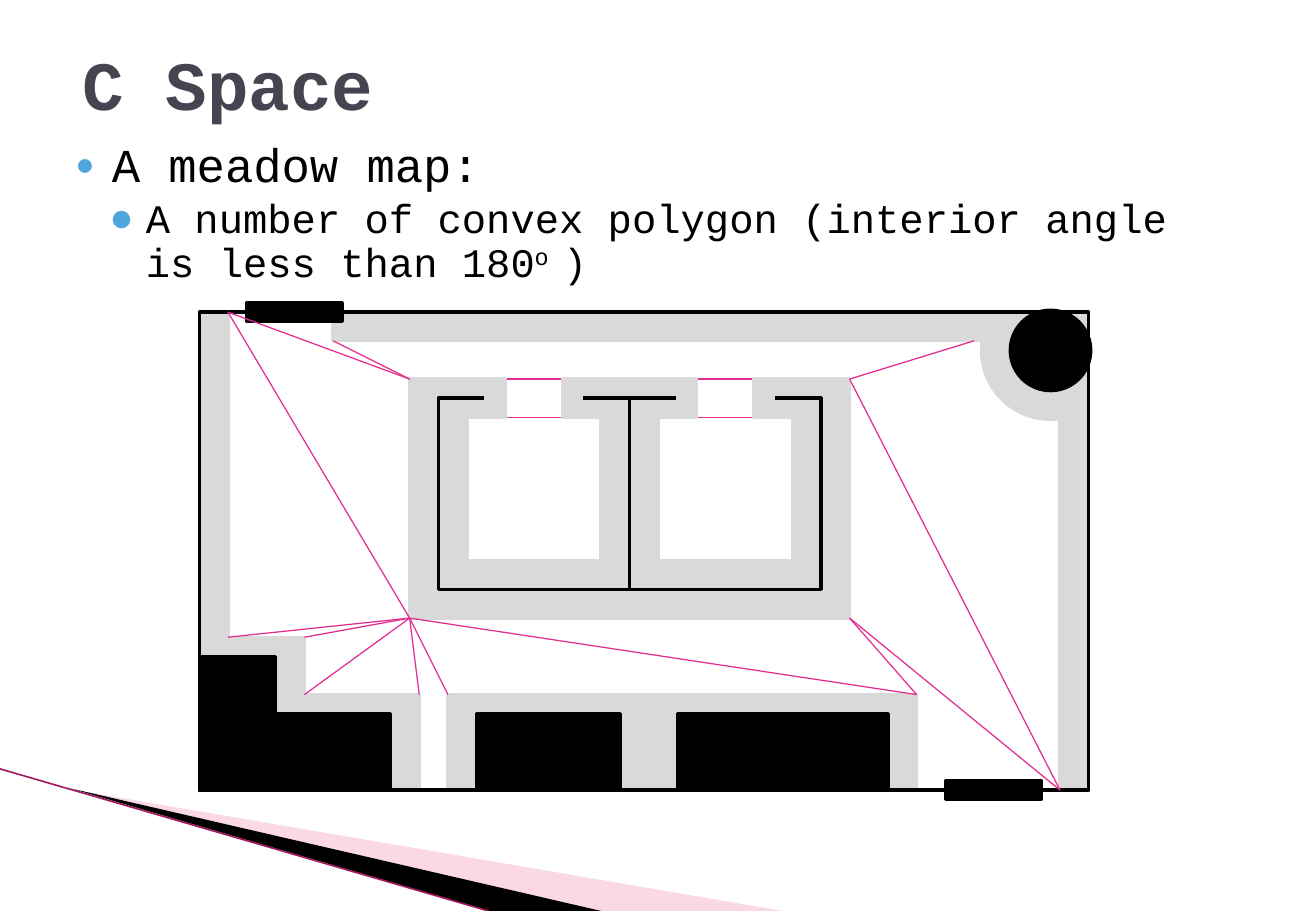
from pptx import Presentation
from pptx.dml.color import RGBColor
from pptx.enum.shapes import MSO_CONNECTOR, MSO_SHAPE
from pptx.enum.text import MSO_ANCHOR, MSO_AUTO_SIZE, PP_ALIGN
from pptx.oxml.ns import qn
from pptx.util import Inches, Pt
from lxml.etree import SubElement

COLORS = {
    "title": "454551", "text": "000000", "bullet": "4EA6DC",
    "obstacle": "000000", "clearance": "D9D9D9", "free": "FFFFFF",
    "path": "E32D91", "wedge": "F39EC0", "edge": "A3195F",
}
FONT = "Courier New"
GRID = 7.32 / 46.5  # one cell of the floor plan, in inches


def rgb(name):
    return RGBColor.from_string(COLORS[name])


def add_line(slide, start, end, color, width):
    line = slide.shapes.add_connector(
        MSO_CONNECTOR.STRAIGHT, *[Inches(v) for v in (*start, *end)])
    line.line.color.rgb = rgb(color)
    line.line.width = Pt(width)
    SubElement(line._element.spPr, qn("a:effectLst"))


def add_wedge(slide, points, color, opacity=100):
    builder = slide.shapes.build_freeform(
        Inches(points[0][0]), Inches(points[0][1]))
    builder.add_line_segments([(Inches(x), Inches(y)) for x, y in points[1:]])
    wedge = builder.convert_to_shape()
    wedge.shadow.inherit = False
    wedge.fill.solid()
    wedge.fill.fore_color.rgb = rgb(color)
    wedge.line.fill.background()
    if opacity < 100:
        srgb = wedge._element.spPr.find(".//" + qn("a:srgbClr"))
        SubElement(srgb, qn("a:alpha")).set("val", str(opacity * 1000))


def draw_corner(slide):
    """Wedges in the bottom left corner."""
    add_wedge(slide, [(0.59, 6.5), (6.44, 7.5), (4.94, 7.5)], "wedge", 40)
    add_wedge(slide, [(0.58, 6.49), (4.95, 7.5), (4.03, 7.5)], "obstacle")
    add_line(slide, (0, 6.33), (4.02, 7.5), "edge", 0.95)


def place(placeholder, box):
    left, top, width, height = [Inches(v) for v in box]
    placeholder.left, placeholder.top = left, top
    placeholder.width, placeholder.height = width, height
    placeholder.text_frame.auto_size = MSO_AUTO_SIZE.NONE
    placeholder.text_frame.word_wrap = True


def fill_title(title, box, text):
    place(title, box)
    title.text_frame.vertical_anchor = MSO_ANCHOR.MIDDLE
    heading = title.text_frame.paragraphs[0]
    heading.text = text
    heading.alignment = PP_ALIGN.LEFT
    heading.font.name, heading.font.size = FONT, Pt(41)
    heading.font.bold = True
    heading.font.color.rgb = rgb("title")


def format_point(point, level, size, space, margin, bullet_size):
    point.level = level
    point.line_spacing = 0.9
    point.space_before = Pt(space)
    point.font.name, point.font.size = FONT, Pt(size)
    point.font.color.rgb = rgb("text")
    props = point._p.get_or_add_pPr()
    props.set("marL", str(Inches(margin)))
    props.set("indent", str(Inches(-0.3)))
    # Bullet elements go before the default run properties
    default_run = props.find(qn("a:defRPr"))
    color = SubElement(props, qn("a:buClr"))
    SubElement(color, qn("a:srgbClr")).set("val", COLORS["bullet"])
    scale = SubElement(props, qn("a:buSzPct"))
    scale.set("val", str(bullet_size * 1000))
    mark = SubElement(props, qn("a:buChar"))
    mark.set("char", "●")
    for part in (color, scale, mark):
        default_run.addprevious(part)


def fill_body(body, box):
    place(body, box)
    meadow = body.text_frame.paragraphs[0]
    meadow.text = "A meadow map:"
    format_point(meadow, 0, 28, 4, 0.3, 68)

    polygons = body.text_frame.add_paragraph()
    polygons.add_run().text = (
        "A number of convex polygon (interior angle is less than 180")
    degree = polygons.add_run()
    degree.text = "o "
    degree._r.get_or_add_rPr().set("baseline", "30000")
    polygons.add_run().text = ")"
    format_point(polygons, 1, 24, 3.2, 0.58, 100)


def draw_floor_plan(slide, left, top):
    """Room with obstacles, their clearance and the paths, in grid cells."""
    def at(x, y):
        return left + x * GRID, top + y * GRID

    def block(cells, fill, line=None, kind=MSO_SHAPE.RECTANGLE, width=2):
        x, y, w, h = cells
        corner = at(x, y)
        shape = slide.shapes.add_shape(
            kind, *[Inches(v) for v in (*corner, w * GRID, h * GRID)])
        shape.shadow.inherit = False
        if fill:
            shape.fill.solid()
            shape.fill.fore_color.rgb = rgb(fill)
        else:
            shape.fill.background()
        shape.line.color.rgb = rgb(line or fill)
        shape.line.width = Pt(width)

    def path(start, end):
        add_line(slide, at(*start), at(*end), "path", 0.75)

    # Paths through the two doorways
    for shift in (0, 10):
        path((19 + shift, 3.5), (15.5 + shift, 3.5))
        path((19.5 + shift, 5.5), (16 + shift, 5.5))

    # Clearance round the pillar, cut off outside the room
    block((41, -1.5, 7, 7), "clearance", kind=MSO_SHAPE.OVAL, width=4.33)
    for outside in ((40.5, -2.5, 8, 2.5), (46.5, -1.5, 2, 7)):
        block(outside, "free")

    # Clearance along walls, inner rooms, door posts and furniture
    columns = [(x, 3.5, 3, 11.5) for x in (11, 21, 31)]
    posts = [(x, 3.5, 2, 2) for x in (14, 19, 24, 29)]
    for cells in columns + posts + [
            (11, 13, 23, 3), (13, 20, 24.5, 5), (7, 0, 38, 1.5),
            (45, 0, 1.5, 25), (4, 20, 7.5, 5), (1.5, 17, 4, 8),
            (0, 0, 1.5, 25)]:
        block(cells, "clearance")

    # Outer wall, doors, furniture and pillar
    block((0, 0, 46.5, 25), None, "obstacle")
    for cells in ((2.5, -0.5, 5, 1), (0, 18, 4, 7), (0, 21, 10, 4),
                  (14.5, 21, 7.5, 4), (25, 21, 11, 4), (39, 24.5, 5, 1)):
        block(cells, "obstacle")
    block((42.5, 0, 4, 4), "obstacle", kind=MSO_SHAPE.OVAL, width=4.33)

    # Inner rooms with their doorways
    for x in (12.5, 22.5):
        block((x, 4.5, 10, 10), None, "obstacle")
        block((x + 2.5, 4, 5, 1), "free")
        for jamb in (x + 2.5, x + 6.5):
            block((jamb, 3.5, 1, 2), "clearance")

    # Edges between the convex polygons, by the corner they meet in
    edges = {
        (11, 3.5): [(1.5, 0), (7, 1.5)],
        (11, 16): [(1.5, 0), (1.5, 17), (5.5, 17), (5.5, 20),
                   (11.5, 20), (13, 20), (37.5, 20)],
        (34, 16): [(37.5, 20), (45, 25)],
        (34, 3.5): [(45, 25), (40.5, 1.5)],
    }
    for corner, starts in edges.items():
        for start in starts:
            path(start, corner)


def main():
    prs = Presentation()
    prs.slide_width, prs.slide_height = Inches(10.83), Inches(7.5)
    slide = prs.slides.add_slide(prs.slide_layouts[1])
    draw_corner(slide)
    fill_title(slide.shapes.title, (0.58, 0.06, 9.75, 1.25), "C Space")
    fill_body(slide.placeholders[1], (0.52, 1.12, 9.75, 4.95))
    draw_floor_plan(slide, 1.64, 2.57)
    prs.save("out.pptx")


if __name__ == "__main__":
    main()
